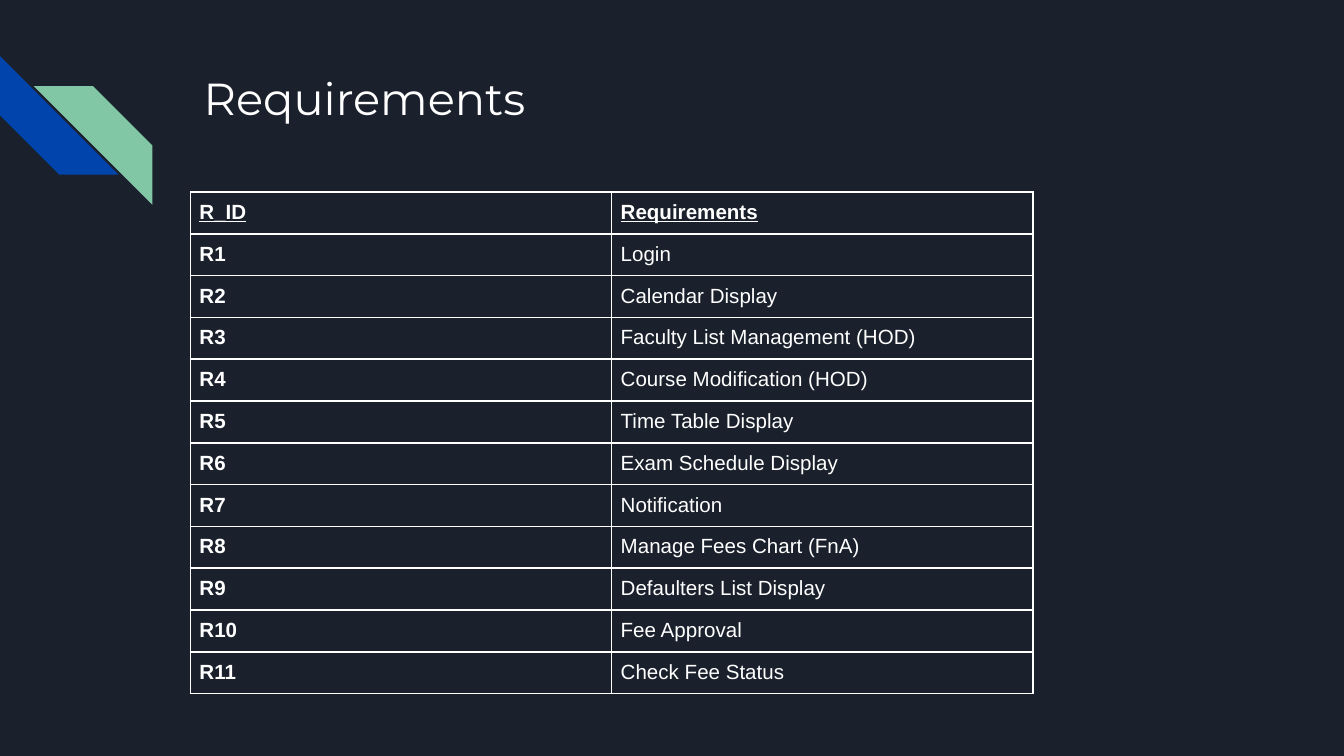
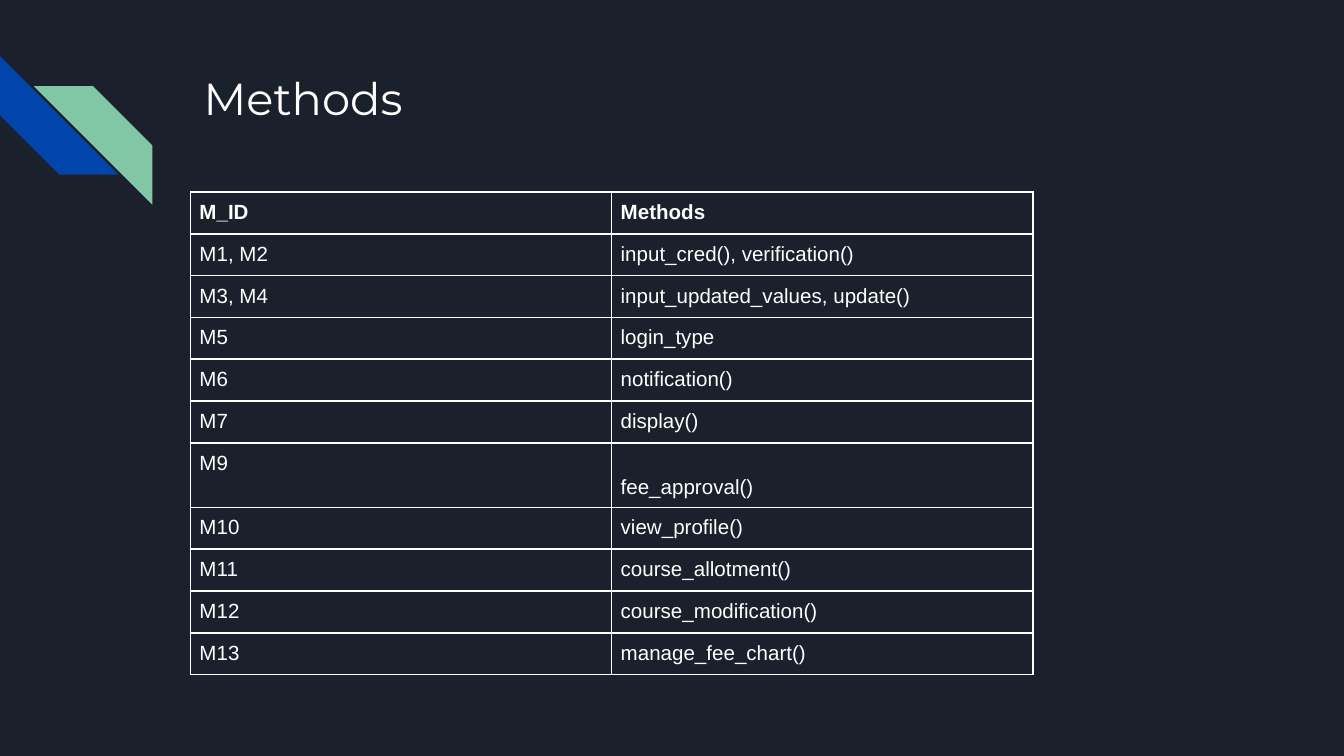
from dataclasses import dataclass

from lxml import etree
from pptx import Presentation
from pptx.dml.color import RGBColor
from pptx.enum import shapes, text
from pptx.oxml import ns
from pptx.util import Cm, Pt

PAGES = [
    {
        "title": "Requirements",
        "header": ("R_ID", "Requirements"),
        "rows": [
            ("R1", "Login"),
            ("R2", "Calendar Display"),
            ("R3", "Faculty List Management (HOD)"),
            ("R4", "Course Modification (HOD)"),
            ("R5", "Time Table Display"),
            ("R6", "Exam Schedule Display"),
            ("R7", "Notification"),
            ("R8", "Manage Fees Chart (FnA)"),
            ("R9", "Defaulters List Display"),
            ("R10", "Fee Approval"),
            ("R11", "Check Fee Status"),
        ],
        "underlined_header": True,
        "bold_ids": True,
        "tall_rows": (),
    },
    {
        "title": "Methods",
        "header": ("M_ID", "Methods"),
        "rows": [
            ("M1, M2", "input_cred(), verification()"),
            ("M3, M4", "input_updated_values, update()"),
            ("M5", "login_type"),
            ("M6", "notification()"),
            ("M7", "display()"),
            ("M9", "fee_approval()"),
            ("M10", "view_profile()"),
            ("M11", "course_allotment()"),
            ("M12", "course_modification()"),
            ("M13", "manage_fee_chart()"),
        ],
        "underlined_header": False,
        "bold_ids": False,
        "tall_rows": ("M9",),
    },
]


@dataclass(frozen=True)
class Theme:
    background: str = "1B212C"
    ink: str = "FFFFFF"
    blue: str = "0145AC"
    green: str = "82C7A5"
    title_font: str = "Montserrat"
    body_font: str = "Arial"
    title_size: int = 24
    body_size: int = 11
    border_width: int = 1


THEME = Theme()

PAGE_SIZE = Cm(25.4), Cm(14.29)
LEFT = Cm(3.6)
TITLE_TOP, TITLE_WIDTH, TITLE_HEIGHT = Cm(1.09), Cm(19.56), Cm(2.54)
TABLE_TOP, COLUMN_WIDTH = Cm(3.63), Cm(7.96)
ROW_HEIGHT, TALL_ROW_HEIGHT = Cm(0.79), Cm(1.22)
CELL_MARGIN, TITLE_MARGIN = Cm(0.17), Cm(0.25)
STRIPE_SIZE = Cm(2.24)


def set_font(para, name, size, bold=False, underline=False):
    para.font.name = name
    para.font.size = Pt(size)
    para.font.bold = bold
    para.font.underline = underline
    para.font.color.rgb = RGBColor.from_string(THEME.ink)


def set_margins(target, margin):
    target.margin_left = target.margin_right = margin
    target.margin_top = target.margin_bottom = margin


def add_stripe(page, left, top, color):
    stripe = page.shapes.add_shape(
        shapes.MSO_SHAPE.DIAGONAL_STRIPE, left, top, STRIPE_SIZE, STRIPE_SIZE)
    stripe.shadow.inherit = False
    stripe.fill.solid()
    stripe.fill.fore_color.rgb = RGBColor.from_string(color)
    stripe.line.fill.background()
    return stripe


def add_corner_stripes(page):
    add_stripe(page, 0, Cm(1.06), THEME.blue).rotation = 270
    green = add_stripe(page, Cm(0.64), Cm(1.63), THEME.green)
    green._element.spPr.get_or_add_xfrm().set("flipH", "1")


def format_title(page, words):
    title = page.shapes.title
    title.left, title.top = LEFT, TITLE_TOP
    title.width, title.height = TITLE_WIDTH, TITLE_HEIGHT
    frame = title.text_frame
    frame.text = words
    frame.vertical_anchor = text.MSO_ANCHOR.TOP
    frame.auto_size = text.MSO_AUTO_SIZE.NONE
    set_margins(frame, TITLE_MARGIN)
    para = frame.paragraphs[0]
    para.alignment = text.PP_ALIGN.LEFT
    set_font(para, THEME.title_font, THEME.title_size)


def add_borders(cell):
    properties = cell._tc.get_or_add_tcPr()
    for side in ("a:lnL", "a:lnR", "a:lnT", "a:lnB"):
        line = etree.SubElement(properties, ns.qn(side), w=str(Pt(THEME.border_width)))
        fill = etree.SubElement(line, ns.qn("a:solidFill"))
        etree.SubElement(fill, ns.qn("a:srgbClr"), val=THEME.ink)


def add_listing(page, content):
    """Add the two-column table; a tall row sets its second cell at the bottom."""
    rows = [content["header"], *content["rows"]]
    heights = [TALL_ROW_HEIGHT if row[0] in content["tall_rows"] else ROW_HEIGHT
               for row in rows]
    table = page.shapes.add_table(
        len(rows), 2, LEFT, TABLE_TOP, 2 * COLUMN_WIDTH, sum(heights)).table
    table.first_row = table.horz_banding = False
    for column in table.columns:
        column.width = COLUMN_WIDTH
    for r, (row, height) in enumerate(zip(rows, heights)):
        table.rows[r].height = height
        is_header = r == 0
        for c, words in enumerate(row):
            cell = table.cell(r, c)
            cell.text = words
            set_margins(cell, CELL_MARGIN)
            at_bottom = c == 1 and height == TALL_ROW_HEIGHT
            cell.vertical_anchor = (
                text.MSO_ANCHOR.BOTTOM if at_bottom else text.MSO_ANCHOR.TOP)
            add_borders(cell)
            cell.fill.background()
            set_font(cell.text_frame.paragraphs[0], THEME.body_font, THEME.body_size,
                     bold=is_header or (c == 0 and content["bold_ids"]),
                     underline=is_header and content["underlined_header"])


def main():
    deck = Presentation()
    deck.slide_width, deck.slide_height = PAGE_SIZE
    backdrop = deck.slide_master.background.fill
    backdrop.solid()
    backdrop.fore_color.rgb = RGBColor.from_string(THEME.background)
    title_only = deck.slide_layouts.get_by_name("Title Only")
    for content in PAGES:
        page = deck.slides.add_slide(title_only)
        add_corner_stripes(page)
        format_title(page, content["title"])
        add_listing(page, content)
    deck.save("out.pptx")


if __name__ == "__main__":
    main()
